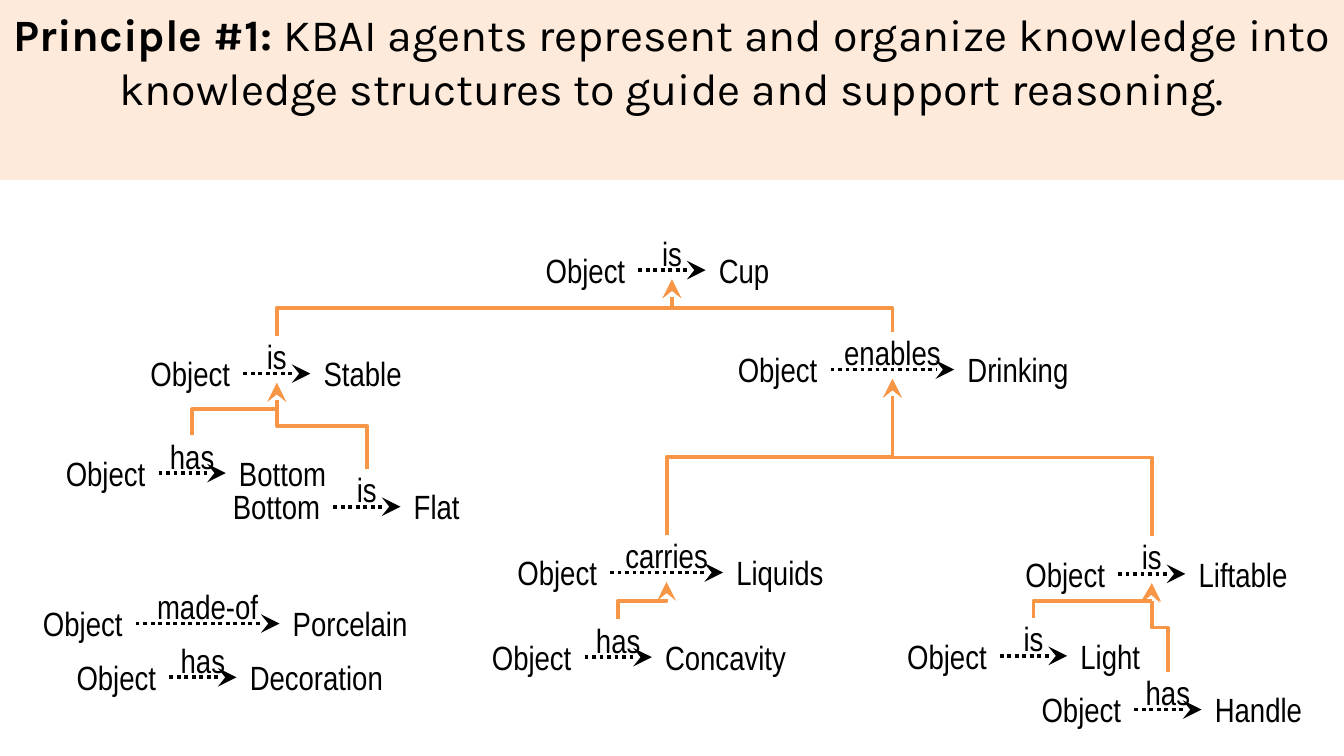
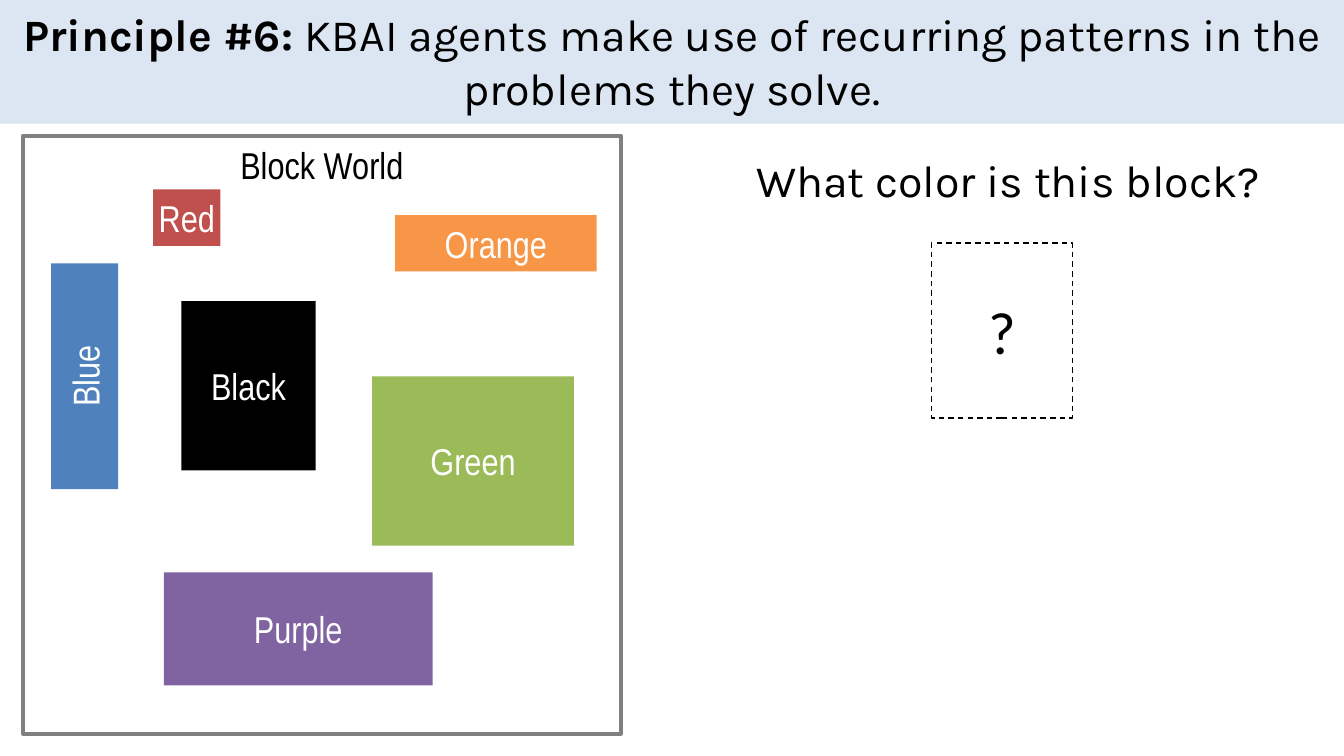
from lxml import etree
from pptx import Presentation
from pptx.dml.color import RGBColor
from pptx.enum.dml import MSO_LINE
from pptx.enum.shapes import MSO_CONNECTOR as CXN, MSO_SHAPE
from pptx.enum.text import MSO_ANCHOR as ANCHOR, MSO_AUTO_SIZE as AUTO, PP_ALIGN as ALIGN
from pptx.oxml.ns import qn
from pptx.util import Inches, Pt

rgb = RGBColor.from_string
BLACK, WHITE, GRAY, ORANGE = "000000", "FFFFFF", "808080", "F79646"
TITLE_FONT, LABEL_FONT = "Karla", "Arial Narrow"
TOP, LEFT, BOTTOM, RIGHT = range(4)  # connection sites


def add_box(s, at, runs, size, font=LABEL_FONT, color=BLACK, align=ALIGN.CENTER,
            anchor=ANCHOR.MIDDLE, fill=None, line=None, weight=2, inset=None):
    """Text box, or a rectangle when it has a fill or a line."""
    at = [Inches(v) for v in at]
    if fill or line:
        sp = s.shapes.add_shape(MSO_SHAPE.RECTANGLE, *at)
        sp.shadow.inherit = False
    else:
        sp = s.shapes.add_textbox(*at)
    if fill:
        sp.fill.solid()
        sp.fill.fore_color.rgb = rgb(fill)
    else:
        sp.fill.background()
    if line:
        sp.line.color.rgb = rgb(line)
        sp.line.width = Pt(weight)
    else:
        sp.line.fill.background()
    tf = sp.text_frame
    tf.word_wrap = True
    tf.vertical_anchor = anchor
    if inset is not None:
        tf.margin_left = tf.margin_right = tf.margin_top = tf.margin_bottom = Inches(inset)
    p = tf.paragraphs[0]
    p.alignment = align
    p.font.size, p.font.name = Pt(size), font
    p.font.color.rgb = rgb(color)
    for text, bold in runs:
        r = p.add_run()
        r.text = text
        if bold:
            r.font.bold = True
    return sp


def add_arrow(s, kind, start, start_site, end, end_site, color, dash=None):
    """Stealth-headed connector joined to two boxes."""
    c = s.shapes.add_connector(kind, 0, 0, 0, 0)
    c.begin_connect(start, start_site)
    c.end_connect(end, end_site)
    c.line.color.rgb = rgb(color)
    c.line.width = Pt(2)
    if dash:
        c.line.dash_style = dash
    etree.SubElement(c.line._get_or_add_ln(), qn("a:tailEnd"),
                     type="stealth", w="lg", len="lg")
    etree.SubElement(c._element.spPr, qn("a:effectLst"))
    return c


prs = Presentation()
prs.slide_width = Inches(10)
prs.slide_height = prs.slide_width * 9 // 16
knowledge, patterns = [prs.slides.add_slide(prs.slide_layouts[6]) for _ in range(2)]

# Facts: key, subject, relation, object, relation left, top, relation width, object width
facts = [
    ("cup", "Object", "is", "Cup", 4.75, 1.81, 0.5, 0.67),
    ("stable", "Object", "is", "Stable", 1.81, 2.58, 0.5, 1.13),
    ("bottom", "Object", "has", "Bottom", 1.18, 3.32, 0.5, 1.13),
    ("flat", "Bottom", "is", "Flat", 2.48, 3.57, 0.5, 0.71),
    ("drinking", "Object", "enables", "Drinking", 6.18, 2.55, 0.92, 1.26),
    ("liquids", "Object", "carries", "Liquids", 4.54, 4.06, 0.84, 1.05),
    ("concavity", "Object", "has", "Concavity", 4.35, 4.69, 0.5, 1.43),
    ("liftable", "Object", "is", "Liftable", 8.32, 4.07, 0.5, 1.09),
    ("light", "Object", "is", "Light", 7.44, 4.68, 0.5, 1.09),
    ("handle", "Object", "has", "Handle", 8.44, 5.08, 0.5, 1.05),
    ("porcelain", "Object", "made-of", "Porcelain", 1.01, 4.44, 1.07, 1.26),
    ("decoration", "Object", "has", "Decoration", 1.26, 4.84, 0.5, 1.49),
]
relations = {}
for key, subject, relation, obj, x, y, w, obj_w in facts:
    subject_w = 1.15 if subject == "Bottom" else min(1.05, x)
    ends = [
        add_box(knowledge, (x - subject_w, y, subject_w, 0.4), [(subject, False)], 18,
                align=ALIGN.RIGHT, anchor=ANCHOR.TOP),
        add_box(knowledge, (x + w, y, obj_w, 0.4), [(obj, False)], 18,
                align=ALIGN.LEFT, anchor=ANCHOR.TOP),
    ]
    for sp in ends:
        sp.text_frame.auto_size = AUTO.SHAPE_TO_FIT_TEXT
    add_arrow(knowledge, CXN.STRAIGHT, ends[0], RIGHT, ends[1], LEFT, BLACK, MSO_LINE.ROUND_DOT)
    relations[key] = add_box(knowledge, (x, y - 0.08, w, 0.35), [(relation, False)], 18,
                             anchor=ANCHOR.TOP, inset=0)

# Each supporting fact points up to the fact it explains; the bend is in percent
supports = [
    ("concavity", "liquids", 50), ("light", "liftable", 50), ("handle", "liftable", 50),
    ("liquids", "drinking", 50), ("liftable", "drinking", 50),
    ("bottom", "stable", 50), ("flat", "stable", 50),
    ("stable", "cup", 50), ("drinking", "cup", 45.6),
]
for child, parent, bend in supports:
    c = add_arrow(knowledge, CXN.ELBOW, relations[child], TOP, relations[parent], BOTTOM, ORANGE)
    # Turn the elbow so that it leaves and arrives vertically
    dx, dy = c.end_x - c.begin_x, c.begin_y - c.end_y
    mid_x, mid_y = (c.begin_x + c.end_x) // 2, (c.begin_y + c.end_y) // 2
    c.width, c.height = dy, abs(dx)
    c.left, c.top = mid_x - dy // 2, mid_y - abs(dx) // 2
    xfrm = c._element.spPr.find(qn("a:xfrm"))
    xfrm.set("rot", str((90 if dx > 0 else 270) * 60000))
    xfrm.set("flipH", "1" if dx > 0 else "0")
    xfrm.set("flipV", "1")
    guides = c._element.spPr.find(qn("a:prstGeom")).find(qn("a:avLst"))
    etree.SubElement(guides, qn("a:gd"), name="adj1", fmla=f"val {round(bend * 1000)}")

# Question about the unknown block
sp = add_box(patterns, (6.93, 1.81, 1.05, 1.3), [("?", False)], 32, "Calibri",
             line=BLACK, weight=0.75)
sp.line.dash_style = MSO_LINE.DASH
add_box(patterns, (5, 0.87, 5, 0.94), [("What color is this block?", False)], 24, TITLE_FONT)

# Block world
add_box(patterns, (0.17, 1.01, 4.45, 4.45), [("Block World", False)], 20,
        anchor=ANCHOR.TOP, line=GRAY)
blocks = [
    ("Blue", "4F81BD", (0.38, 1.96, 0.5, 1.68)),
    ("Orange", ORANGE, (2.94, 1.6, 1.5, 0.42)),
    ("Purple", "8064A2", (1.22, 4.26, 2, 0.84)),
    ("Black", BLACK, (1.35, 2.24, 1, 1.26)),
    ("Green", "9BBB59", (2.77, 2.8, 1.5, 1.26)),
    ("Red", "C0504D", (1.14, 1.41, 0.5, 0.42)),
]
for name, fill, at in blocks:
    sp = add_box(patterns, at, [(name, False)], 20, color=WHITE, fill=fill,
                 inset=0 if name == "Red" else None)
    if name == "Blue":
        sp.text_frame._txBody.bodyPr.set("vert", "vert270")

# Title bands: slide, number, statement, band height, band colour
principles = [
    (knowledge, 1, "KBAI agents represent and organize knowledge into knowledge "
                   "structures to guide and support reasoning.", 1.34, "FDEADA"),
    (patterns, 6, "KBAI agents make use of recurring patterns in the problems they solve.",
     0.92, "DCE6F2"),
]
for s, number, statement, height, fill in principles:
    add_box(s, (0, 0, 10, height), [(f"Principle #{number}: ", True), (statement, False)],
            24, TITLE_FONT, anchor=ANCHOR.TOP, fill=fill)

prs.save("out.pptx")
